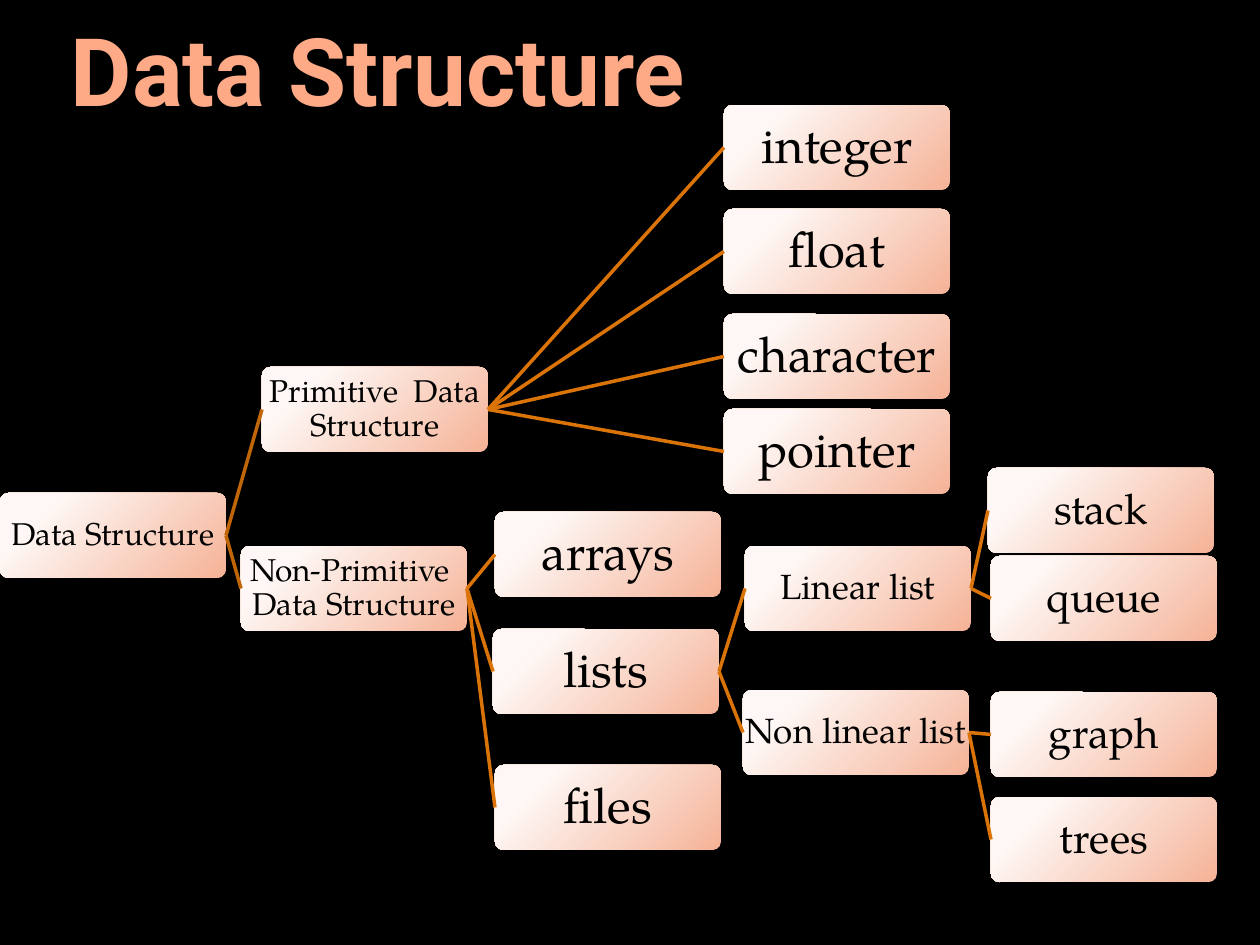
from lxml.etree import SubElement
from pptx import Presentation
from pptx.dml.color import RGBColor
from pptx.enum.shapes import MSO_CONNECTOR as Wire, MSO_SHAPE as Form
from pptx.enum.text import MSO_ANCHOR as Anchor, MSO_AUTO_SIZE as Fit, PP_ALIGN as Align
from pptx.oxml.ns import qn
from pptx.util import Emu, Pt

SCALE = 914400 / 126
WIDE, HIGH = 226, 85

BLACK = RGBColor(0x00, 0x00, 0x00)
PEACH = RGBColor(0xFF, 0xAA, 0x86)
PALE = RGBColor(0xFE, 0xF7, 0xF5)
CORAL = RGBColor(0xF5, 0xB3, 0x97)
BROWN = RGBColor(0xC0, 0x66, 0x07)
ORANGE = RGBColor(0xDA, 0x73, 0x08)

TREE = ("Data Structure", 0, 388, 18, [
    ("Primitive  Data Structure", 262, 262, 18, [
        ("integer", 724, 0, 28, []),
        ("float", 724, 104, 28, []),
        ("character", 724, 209, 28, []),
        ("pointer", 724, 304, 28, []),
    ]),
    ("Non-Primitive  Data Structure", 241, 441, 18, [
        ("arrays", 495, 407, 28, []),
        ("lists", 493, 524, 28, [
            ("Linear list", 745, 441, 20, [
                ("stack", 988, 363, 24, []),
                ("queue", 991, 451, 24, []),
            ]),
            ("Non linear list", 743, 585, 20, [
                ("graph", 991, 587, 24, []),
                ("trees", 991, 692, 24, []),
            ]),
        ]),
        ("files", 495, 660, 28, []),
    ]),
])


def px(num):
    return Emu(round(num * SCALE))


def style(para, face, size, color, bold=False):
    para.alignment = Align.CENTER
    for run in para.runs:
        font = run.font
        font.name, font.size, font.bold = face, Pt(size), bold
        font.color.rgb = color


def add_title(slide, left, top, width, height):
    title = slide.shapes.title
    title.left, title.top = px(left), px(top)
    title.width, title.height = px(width), px(height)
    frame = title.text_frame
    frame.text = "Data Structure"
    frame.auto_size = Fit.NONE
    frame.vertical_anchor = Anchor.MIDDLE
    style(frame.paragraphs[0], "Roboto", 54, PEACH, True)


def shade(card):
    card.fill.gradient()
    stops = card.fill.gradient_stops
    for stop, color, place in zip(stops, (PALE, CORAL), (0.2, 1)):
        stop.color.rgb, stop.position = color, place
    props = card.element.spPr
    grad = props.find(qn("a:gradFill"))
    grad.remove(grad.find(qn("a:lin")))
    round_fill = SubElement(grad, qn("a:path"), path="circle")
    SubElement(round_fill, qn("a:fillToRect"), l="-15000", t="-15000", r="115000", b="115000")
    card.shadow.inherit = False
    shadow = SubElement(props.find(qn("a:effectLst")), qn("a:outerShdw"),
                        blurRad="130000", dist="101600", dir="2700000",
                        algn="tl", rotWithShape="0")
    tint = SubElement(shadow, qn("a:srgbClr"), val=str(BLACK))
    SubElement(tint, qn("a:alpha"), val="35000")


def add_card(slide, left, top, text, size):
    card = slide.shapes.add_shape(Form.ROUNDED_RECTANGLE, px(left), px(top), px(WIDE), px(HIGH))
    card.adjustments[0] = 0.1
    card.line.fill.background()
    shade(card)
    frame = card.text_frame
    frame.text = text
    frame.word_wrap = size < 20
    frame.vertical_anchor = Anchor.MIDDLE
    pad = px(1 if size <= 20 else 2)
    frame.margin_left = frame.margin_right = pad
    frame.margin_top = frame.margin_bottom = pad
    para = frame.paragraphs[0]
    para.line_spacing = 0.9
    style(para, "TeX Gyre Pagella", size, BLACK)
    return card


def add_link(slide, start, end, color):
    link = slide.shapes.add_connector(Wire.STRAIGHT, 0, 0, 0, 0)
    link.begin_connect(start, 3)
    link.end_connect(end, 1)
    link.line.color.rgb = color
    link.line.width = Pt(2)
    SubElement(link.element.spPr, qn("a:effectLst"))


def add_tree(slide, left, top, node, color=BROWN):
    text, x, y, size, kids = node
    card = add_card(slide, left + x, top + y, text, size)
    for kid in kids:
        add_link(slide, card, add_tree(slide, left, top, kid, ORANGE), color)
    return card


def main():
    deck = Presentation()
    deck.slide_width, deck.slide_height = px(1260), px(945)
    slide = deck.slides.add_slide(deck.slide_layouts[5])
    back = slide.background.fill
    back.solid()
    back.fore_color.rgb = BLACK
    add_title(slide, -84, -10, 924, 158)
    add_tree(slide, 0, 105, TREE)
    deck.save("out.pptx")


if __name__ == "__main__":
    main()
